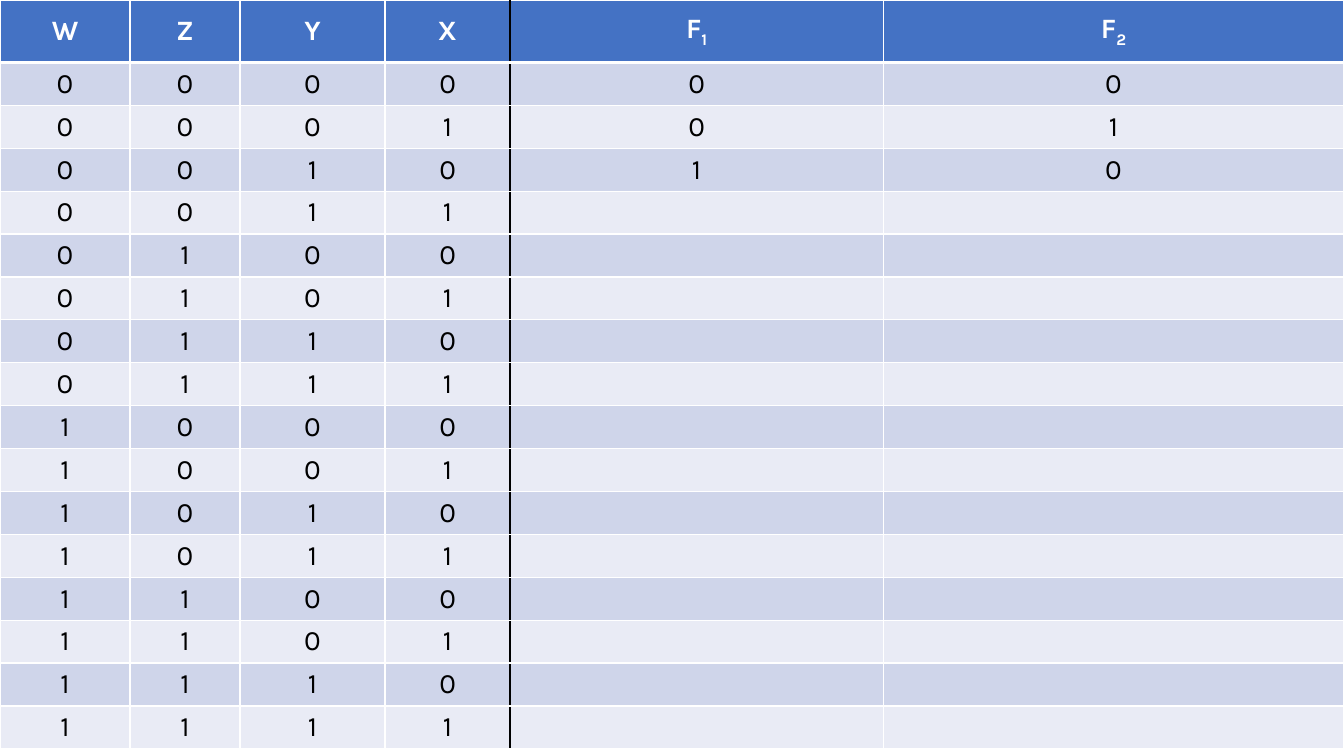
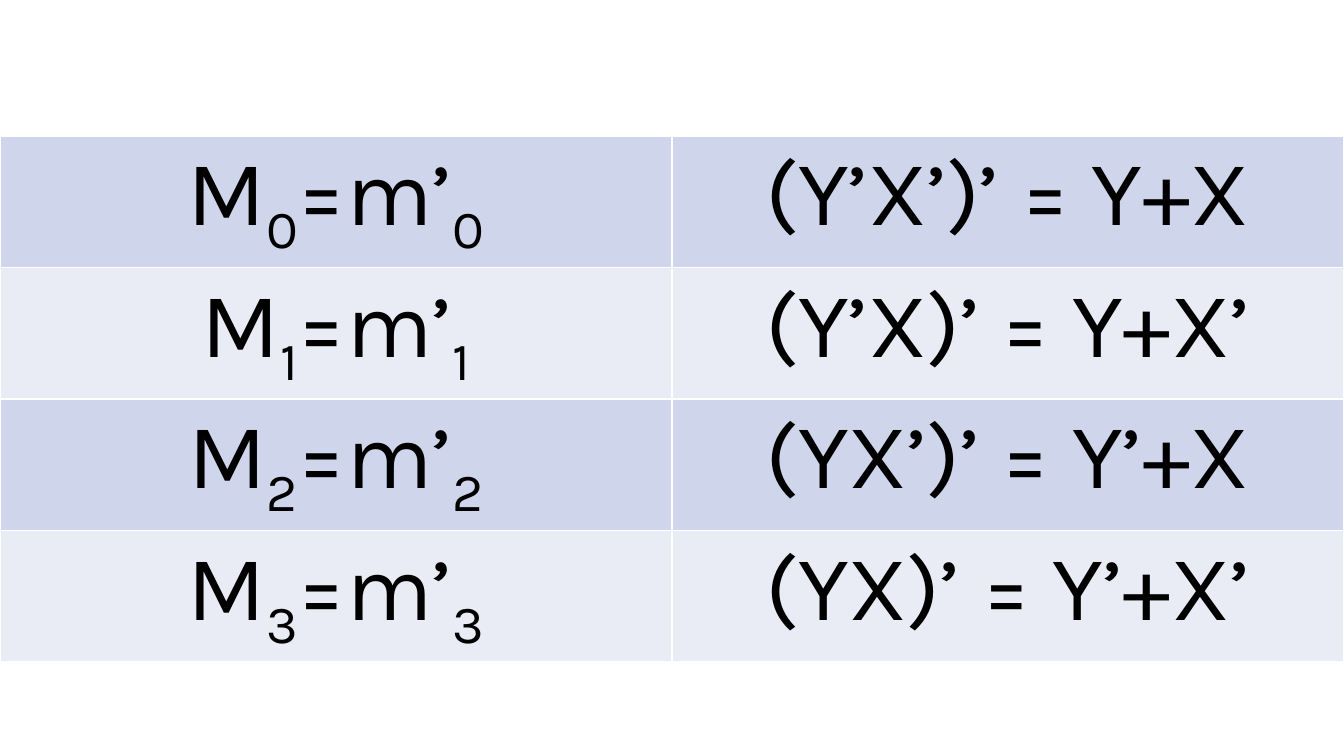
from itertools import product, zip_longest

from lxml.etree import SubElement
from pptx import Presentation
from pptx.dml.color import RGBColor
from pptx.enum.text import MSO_ANCHOR, PP_ALIGN
from pptx.oxml.ns import qn
from pptx.util import Inches, Pt

WIDTH, HEIGHT = 13.33, 7.5


class Deck:
    font = "Karla"
    colors = {
        "head": "4472C4",
        "odd": "CFD5EA",
        "even": "E9EBF5",
        "white": "FFFFFF",
        "black": "000000",
    }

    def __init__(self):
        self.show = Presentation()
        self.show.slide_width = Inches(WIDTH)
        self.show.slide_height = Inches(HEIGHT)
        self.slide = None

    def add_slide(self):
        self.slide = self.show.slides.add_slide(self.show.slide_layouts[6])

    def color(self, name):
        return RGBColor.from_string(self.colors[name])

    def border(self, cell, side, name, width):
        props = cell._tc.get_or_add_tcPr()
        line = SubElement(props, qn(f"a:ln{side}"), w=str(Pt(width)))
        fill = SubElement(line, qn("a:solidFill"))
        SubElement(fill, qn("a:srgbClr"), val=self.colors[name])

    def label(self, cell, text, size, head):
        """Fill a cell with text; the character after each underscore is a subscript."""
        para = cell.text_frame.paragraphs[0]
        para.alignment = PP_ALIGN.CENTER
        first, *rest = text.split("_")
        parts = [(first, False)]
        for part in rest:
            parts += [(part[0], True), (part[1:], False)]
        for part, lowered in parts:
            if not part:
                continue
            run = para.add_run()
            run.text = part
            run.font.name = self.font
            run.font.size = Pt(size)
            run.font.bold = head
            run.font.color.rgb = self.color("white" if head else "black")
            if lowered:
                run._r.get_or_add_rPr().set("baseline", "-25000")

    def table(self, top, widths, heights, rows, size, header=False, rule=None):
        """Draw a banded table; rule is the column with a black line on its left."""
        frame = self.slide.shapes.add_table(
            len(rows), len(widths), 0, Inches(top),
            Inches(sum(widths)), Inches(sum(heights)))
        grid = frame.table
        grid.first_row = header
        grid.horz_banding = False
        for col, width in zip(grid.columns, widths):
            col.width = Inches(width)
        for r, (row, height) in enumerate(zip(rows, heights)):
            grid.rows[r].height = Inches(height)
            head = header and r == 0
            band = "head" if head else ("odd", "even")[(r - header) % 2]
            for c, text in enumerate(row):
                cell = grid.cell(r, c)
                self.border(cell, "L", "black" if c == rule else "white", 1)
                self.border(cell, "R", "black" if c + 1 == rule else "white", 1)
                self.border(cell, "T", "white", 3 if header and r == 1 else 1)
                self.border(cell, "B", "white", 3 if head else 1)
                cell.fill.solid()
                cell.fill.fore_color.rgb = self.color(band)
                if header:
                    cell.vertical_anchor = MSO_ANCHOR.MIDDLE
                if head:
                    cell.margin_top = cell.margin_bottom = 0
                self.label(cell, text, size, head)


def truth(deck):
    deck.add_slide()
    inputs = list(product("01", repeat=4))
    known = ["00", "01", "10"]
    rows = [["W", "Z", "Y", "X", "F_1", "F_2"]]
    for bits, outs in zip_longest(inputs, known, fillvalue=("", "")):
        rows.append([*bits, *outs])
    deck.table(0, [1.29, 1.09, 1.44, 1.24, 3.7, 4.57],
               [0.62] + [0.42] * len(inputs), rows, 20, header=True, rule=4)


def terms(deck):
    deck.add_slide()
    sums = ["(Y’X’)’ = Y+X", "(Y’X)’ = Y+X’", "(YX’)’ = Y’+X", "(YX)’ = Y’+X’"]
    rows = [[f"M_{n}=m’_{n}", text] for n, text in enumerate(sums)]
    deck.table(1.35, [WIDTH / 2] * 2, [1.3] * len(rows), rows, 66)


def main():
    deck = Deck()
    truth(deck)
    terms(deck)
    deck.show.save("out.pptx")


if __name__ == "__main__":
    main()
